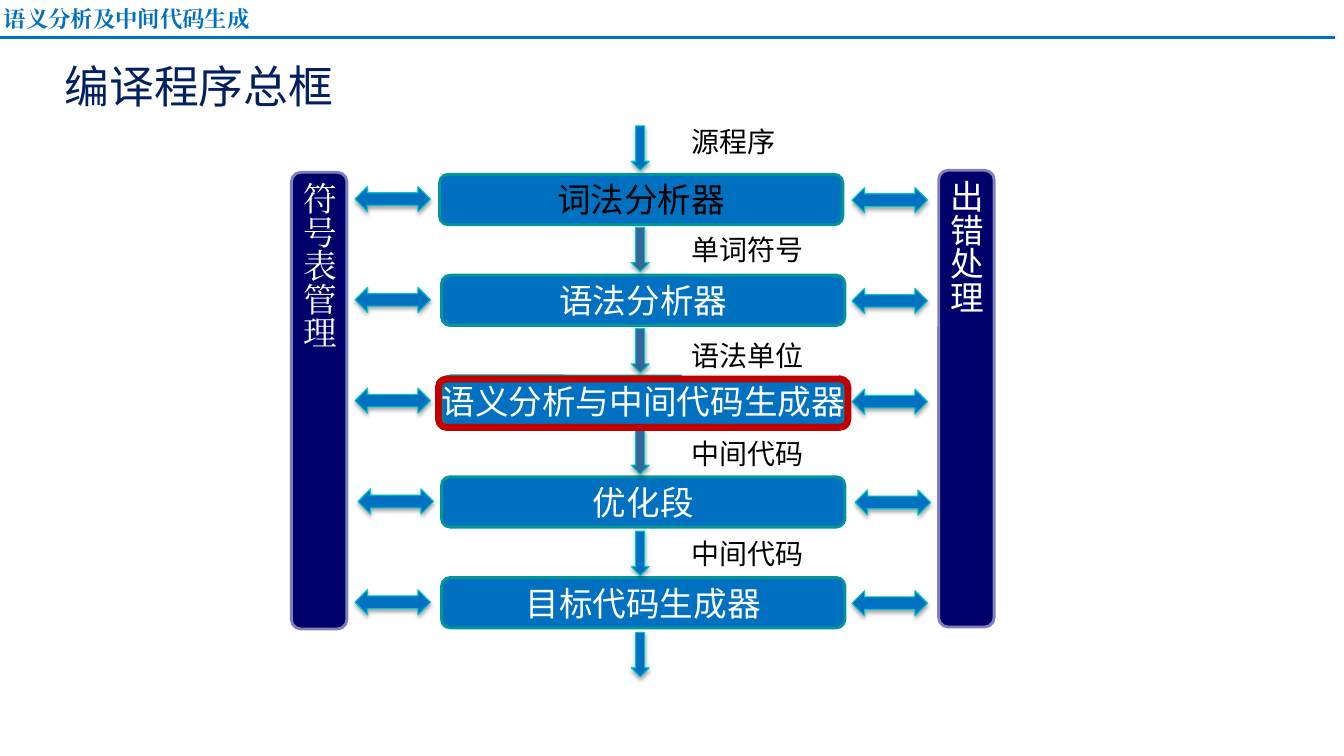
from lxml import etree
from pptx import Presentation
from pptx.dml.color import RGBColor
from pptx.enum import shapes as sh, text as tx
from pptx.oxml import ns
from pptx.util import Inches, Pt

BLUE = RGBColor(0x00, 0x70, 0xC0)
STEEL = RGBColor(0x33, 0x66, 0x99)
TEAL = RGBColor(0x00, 0x97, 0x97)
CYAN = RGBColor(0x00, 0xC8, 0xC8)
INDIGO = RGBColor(0x00, 0x00, 0x6B)
LAVENDER = RGBColor(0x80, 0x80, 0xBD)
RED = RGBColor(0xC0, 0x00, 0x00)
NAVY = RGBColor(0x00, 0x20, 0x60)
WHITE = RGBColor(0xFF, 0xFF, 0xFF)
BLACK = RGBColor(0x00, 0x00, 0x00)
SANS = "Noto Sans CJK SC"
SERIF = "Times New Roman"
SHAPE = sh.MSO_SHAPE
PITCH = 1.0

STAGES = [
    ("词法分析器", BLACK, -0.02, 0),
    ("语法分析器", WHITE, 0, 0),
    ("语义分析与中间代码生成器", WHITE, 0, 0),
    ("优化段", WHITE, 0, 0.03),
    ("目标代码生成器", WHITE, 0, 0),
]
FLOWS = [
    ("源程序", 1.04, -0.06, BLUE, None),
    ("单词符号", 1.32, 0, STEEL, None),
    ("语法单位", 1.56, 0.05, STEEL, WHITE),
    ("中间代码", 1.32, 0.02, STEEL, None),
    ("中间代码", 1.32, 0, BLUE, None),
    (None, 0, 0, BLUE, None),
]


def write(shape, words, size, color, font=SANS, bold=False):
    frame = shape.text_frame
    frame.text = words
    run = frame.paragraphs[0].runs[0]
    run.font.size = Pt(size)
    run.font.name = font
    run.font.bold = bold
    run.font.color.rgb = color
    east_asian = etree.SubElement(run.font._element, ns.qn("a:ea"))
    east_asian.set("typeface", font)
    return frame


def add_label(slide, box, words, size, color, font=SANS, bold=False):
    label = slide.shapes.add_textbox(*map(Inches, box))
    frame = write(label, words, size, color, font, bold)
    frame.word_wrap = False
    frame.auto_size = tx.MSO_AUTO_SIZE.SHAPE_TO_FIT_TEXT
    return label


def add_outlined(slide, kind, box, fill, line, width):
    shape = slide.shapes.add_shape(kind, *map(Inches, box))
    shape.shadow.inherit = False
    if fill is None:
        shape.fill.background()
    else:
        shape.fill.solid()
        shape.fill.fore_color.rgb = fill
    shape.line.color.rgb = line
    shape.line.width = Pt(width)
    return shape


def add_block(slide, box, words, color, fill, line, font=SANS):
    block = add_outlined(slide, SHAPE.ROUNDED_RECTANGLE, box, fill, line, 2)
    frame = write(block, words, 24, color, font)
    frame.word_wrap = False
    frame.vertical_anchor = tx.MSO_ANCHOR.MIDDLE
    frame.margin_left = frame.margin_right = Inches(0.13)
    frame.margin_top = frame.margin_bottom = Inches(0.07)
    frame.paragraphs[0].alignment = tx.PP_ALIGN.CENTER
    return frame


def add_arrow(slide, kind, box, fill):
    arrow = add_outlined(slide, kind, box, fill, CYAN, 0.75)
    effects = arrow._element.spPr.find(ns.qn("a:effectLst"))
    shadow = etree.SubElement(
        effects, ns.qn("a:outerShdw"), blurRad=str(Pt(3.1)),
        dist=str(Pt(1.8)), dir="5400000", rotWithShape="0")
    tint = etree.SubElement(shadow, ns.qn("a:srgbClr"), val="000000")
    etree.SubElement(tint, ns.qn("a:alpha"), val="35000")


def draw_header(slide, left, top, width, height):
    bottom = Inches(top + height)
    rule = slide.shapes.add_connector(
        sh.MSO_CONNECTOR.STRAIGHT, Inches(left), bottom, Inches(left + width), bottom)
    rule.line.color.rgb = BLUE
    rule.line.width = Pt(2.25)
    etree.SubElement(rule._element.spPr, ns.qn("a:effectLst"))
    add_label(slide, (left, top, 2.69, height), "语义分析及中间代码生成", 16, BLUE, SERIF, True)


def draw_title(slide, left, top, width, height):
    title = slide.shapes.add_textbox(*map(Inches, (left, top, width, height)))
    frame = write(title, "编译程序总框", 32, NAVY)
    frame.word_wrap = True
    frame.vertical_anchor = tx.MSO_ANCHOR.MIDDLE


def draw_stages(slide, left, top, width, height):
    for row, (name, color, shift, _) in enumerate(STAGES):
        box = (left + shift, top + row * PITCH, width, height)
        add_block(slide, box, name, color, BLUE, TEAL)


def draw_flows(slide, left, top, width, height):
    for row, (name, label_width, drop, fill, backing) in enumerate(FLOWS):
        y = top + row * (PITCH + 0.005)
        add_arrow(slide, SHAPE.DOWN_ARROW, (left, y, width, height), fill)
        if name:
            label = add_label(
                slide, (left + 0.5, y + drop, label_width, height), name, 20, BLACK)
            if backing is not None:
                label.fill.solid()
                label.fill.fore_color.rgb = backing


def draw_service(slide, left, top, width, height, name, font):
    frame = add_block(slide, (left, top, width, height), name, WHITE, INDIGO, LAVENDER, font)
    frame._txBody.bodyPr.set("vert", "eaVert")


def draw_exchanges(slide, left, top, width, height):
    for row, (_, _, _, shift) in enumerate(STAGES):
        box = (left + shift, top + row * PITCH, width, height)
        add_arrow(slide, SHAPE.LEFT_RIGHT_ARROW, box, BLUE)


def draw_highlight(slide, left, top, width, height):
    add_outlined(slide, SHAPE.ROUNDED_RECTANGLE, (left, top, width, height), None, RED, 5)


def main():
    deck = Presentation()
    deck.slide_width = Inches(13.33)
    deck.slide_height = Inches(7.5)
    slide = deck.slides.add_slide(deck.slide_layouts[6])
    draw_header(slide, -0.06, 0, 13.3, 0.37)
    draw_stages(slide, 4.38, 1.73, 4, 0.5)
    draw_flows(slide, 6.26, 1.25, 0.18, 0.44)
    draw_service(slide, 2.89, 1.71, 0.55, 4.53, "符号表管理", SERIF)
    draw_service(slide, 9.31, 1.69, 0.55, 4.53, "出错处理", SANS)
    draw_exchanges(slide, 3.52, 1.85, 0.75, 0.25)
    draw_exchanges(slide, 8.45, 1.86, 0.75, 0.25)
    draw_highlight(slide, 4.35, 3.76, 4.06, 0.48)
    draw_title(slide, 0.54, 0.37, 3.58, 0.96)
    deck.save("out.pptx")


if __name__ == "__main__":
    main()
